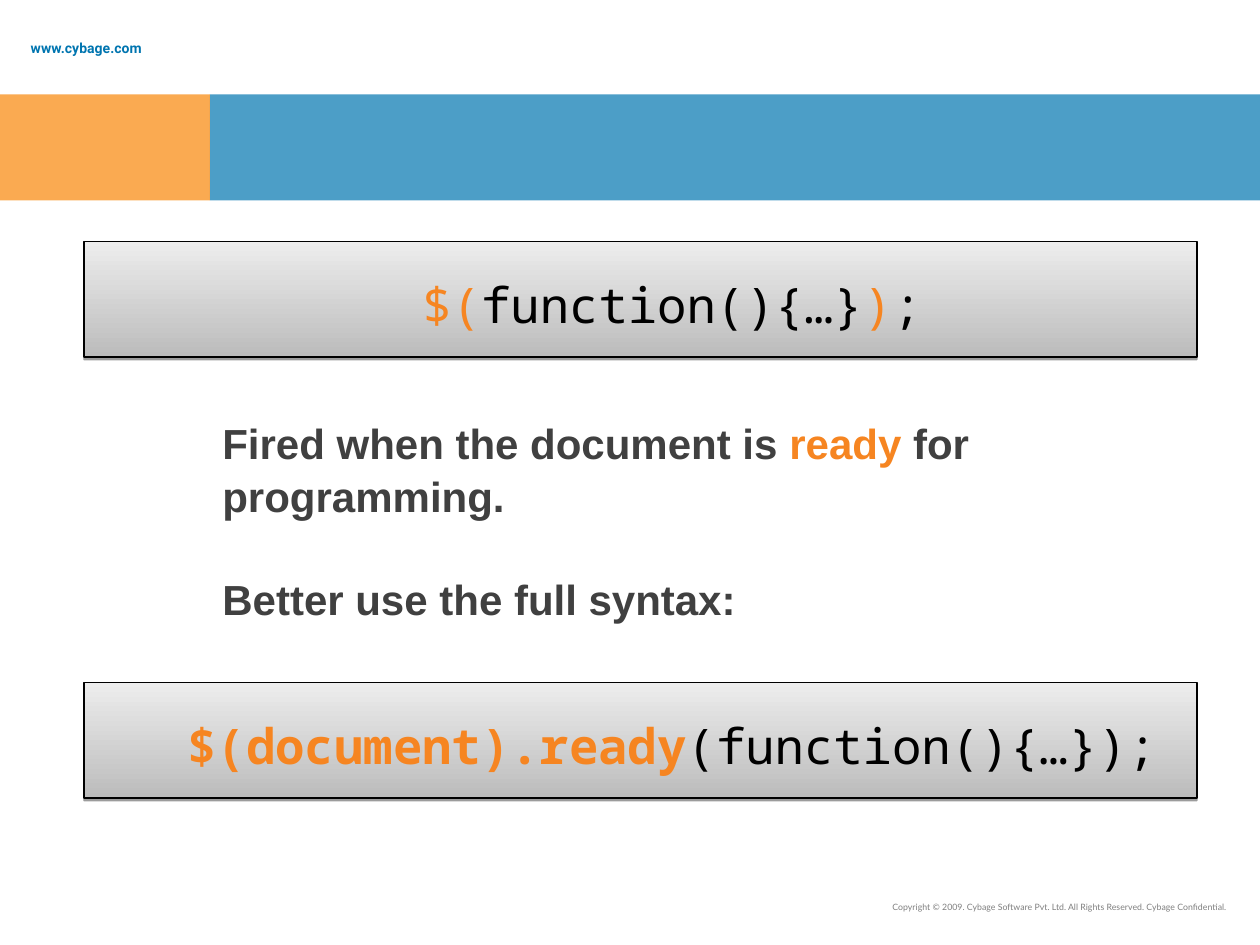
from lxml.etree import SubElement
from pptx import Presentation
from pptx.dml.color import RGBColor
from pptx.enum.shapes import MSO_SHAPE
from pptx.enum.text import MSO_ANCHOR, PP_ALIGN
from pptx.oxml.ns import qn
from pptx.util import Pt

HUES = {
    "blue": "0075B0",
    "amber": "F88608",
    "orange": "F68521",
    "black": "000000",
    "dark": "404040",
    "gray": "7F7F7F",
    "low": "BCBCBC",
    "high": "EDEDED",
}
MONO = "Noto Sans Mono"


def hue(name):
    return RGBColor.from_string(HUES[name])


def fade(color, share):
    SubElement(color, qn("a:alpha"), val=str(share * 1000))


def add_text(par, parts, face, size):
    for words, color, bold in parts:
        run = par.add_run()
        run.text = words
        font = run.font
        font.name = face
        font.size = Pt(size)
        font.bold = bold
        font.color.rgb = hue(color)


def add_label(slide, box, parts, face, size):
    frame = slide.shapes.add_textbox(*map(Pt, box)).text_frame
    frame.word_wrap = True
    add_text(frame.paragraphs[0], parts, face, size)
    return frame


def add_rect(slide, box):
    shape = slide.shapes.add_shape(MSO_SHAPE.RECTANGLE, *map(Pt, box))
    shape.shadow.inherit = False
    return shape


def add_band(slide, left, width, color):
    band = add_rect(slide, (left, 54, width, 60.5))
    band.fill.solid()
    band.fill.fore_color.rgb = hue(color)
    band.line.fill.background()
    fade(band.element.spPr.find(".//" + qn("a:srgbClr")), 70)


def add_code(slide, top, parts):
    panel = add_rect(slide, (48, top, 636, 66))
    panel.fill.gradient()
    panel.fill.gradient_angle = 90
    for stop, color, place in zip(panel.fill.gradient_stops, ("low", "high"), (0, 1)):
        stop.color.rgb = hue(color)
        stop.position = place
    panel.line.color.rgb = hue("black")
    panel.line.width = Pt(0.75)
    list_ = panel.element.spPr.find(qn("a:effectLst"))
    shade = SubElement(list_, qn("a:outerShdw"), blurRad="0", dist=str(Pt(1.6)),
                       dir="5400000", rotWithShape="0")
    fade(SubElement(shade, qn("a:srgbClr"), val=HUES["black"]), 38)
    frame = panel.text_frame
    frame.word_wrap = True
    frame.vertical_anchor = MSO_ANCHOR.MIDDLE
    par = frame.paragraphs[0]
    par.alignment = PP_ALIGN.CENTER
    par.line_spacing = 1.15
    par._p.get_or_add_pPr().set("marL", str(Pt(36)))
    add_text(par, parts, MONO, 28)


def add_body(slide):
    frame = add_label(slide, (120, 233.5, 582, 165.5), [
        ("Fired when the document is ", "dark", True),
        ("ready", "orange", True),
        (" for programming.", "dark", True),
    ], "Arial", 24)
    last = frame.add_paragraph()
    last.space_before = Pt(29)
    add_text(last, [("Better use the full syntax:", "dark", True)], "Arial", 24)
    for par in frame.paragraphs:
        par.line_spacing = 1.05


def main():
    deck = Presentation()
    deck.slide_width, deck.slide_height = Pt(720), Pt(540)
    slide = deck.slides.add_slide(deck.slide_layouts[6])

    site = add_label(slide, (10.5, 18, 108, 13.5),
                     [("www.cybage.com", "blue", True)], "Roboto", 8)
    site.vertical_anchor = MSO_ANCHOR.MIDDLE
    site.paragraphs[0].line_spacing = 1.5
    foot = add_label(slide, (455, 512, 253.5, 18.5), [(
        "Copyright © 2009. Cybage Software Pvt. Ltd. All Rights Reserved. Cybage Confidential.",
        "gray", False)], "Lato", 5)
    foot.paragraphs[0].alignment = PP_ALIGN.RIGHT

    add_band(slide, 120, 600, "blue")
    add_band(slide, 0, 120, "amber")
    add_code(slide, 138, [
        ("$(", "orange", False),
        ("function(){…}", "black", False),
        (")", "orange", False),
        (";", "black", False),
    ])
    add_body(slide)
    add_code(slide, 390, [
        ("$(document).ready", "orange", True),
        ("(function(){…});", "black", False),
    ])
    deck.save("out.pptx")


if __name__ == "__main__":
    main()
